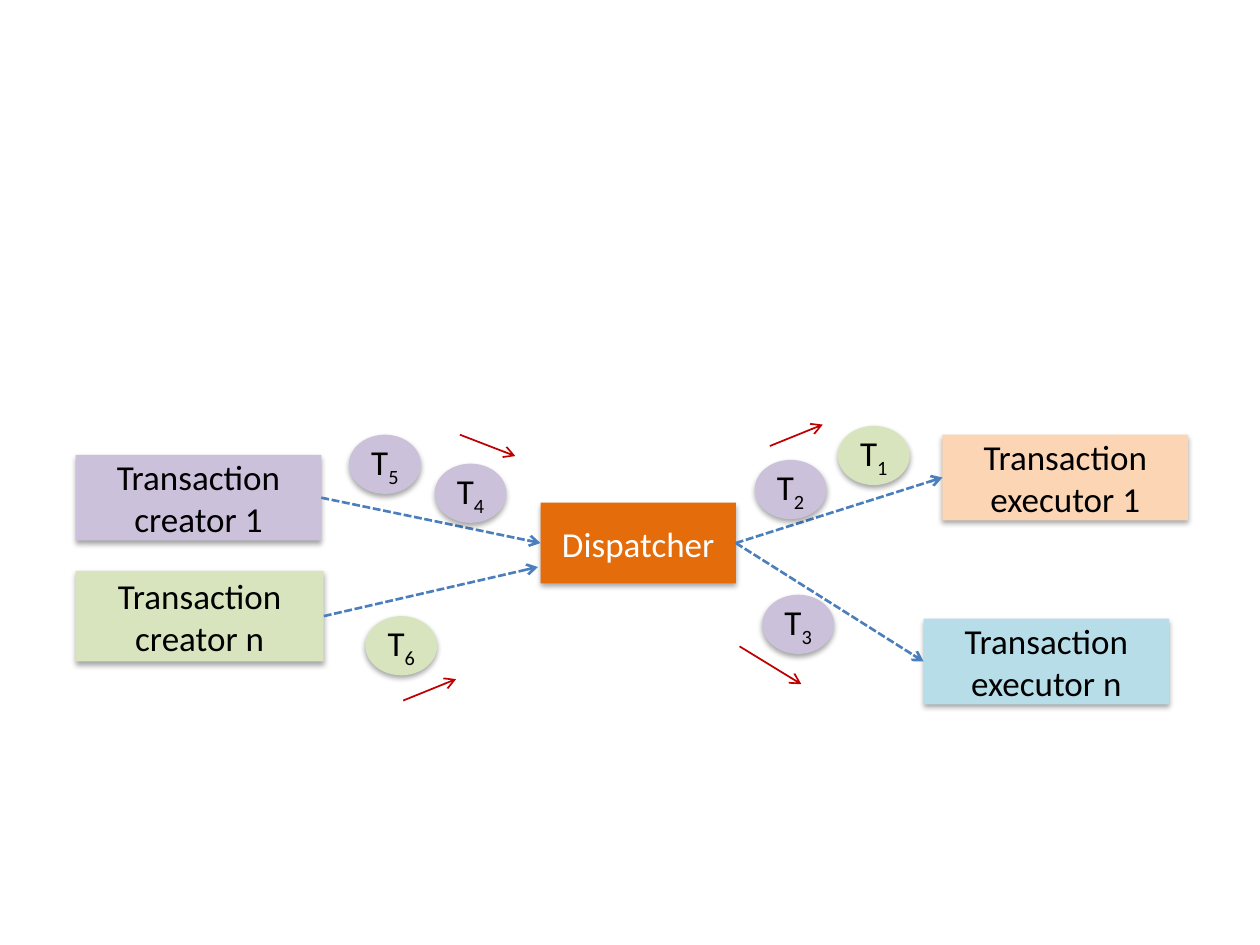
from lxml.etree import SubElement
from pptx import Presentation
from pptx.dml.color import RGBColor
from pptx.enum.dml import MSO_LINE_DASH_STYLE as Dash
from pptx.enum.shapes import MSO_CONNECTOR as Connector, MSO_SHAPE as Shape
from pptx.enum.text import MSO_ANCHOR as Anchor, MSO_AUTO_SIZE as AutoSize, PP_ALIGN as Align
from pptx.oxml.ns import qn
from pptx.util import Inches, Pt

BLACK = RGBColor(0x00, 0x00, 0x00)
WHITE = RGBColor(0xFF, 0xFF, 0xFF)
ORANGE = RGBColor(0xE4, 0x6C, 0x0A)
GREEN = RGBColor(0xD7, 0xE4, 0xBD)
PURPLE = RGBColor(0xCC, 0xC1, 0xDA)
PEACH = RGBColor(0xFC, 0xD5, 0xB5)
AQUA = RGBColor(0xB7, 0xDE, 0xE8)
BLUE = RGBColor(0x4B, 0x7E, 0xBC)
RED = RGBColor(0xC0, 0x00, 0x00)

LEFT, RIGHT = 1, 3
TOKEN_SIZE = (0.57, 0.47)
TOKENS = [
    ("4", 3.45, 3.68, PURPLE),
    ("5", 2.77, 3.45, PURPLE),
    ("6", 2.90, 4.89, GREEN),
    ("1", 6.65, 3.38, GREEN),
    ("3", 6.05, 4.72, PURPLE),
    ("2", 5.99, 3.65, PURPLE),
]
DIRECTIONS = [
    ((3.65, 3.45), (4.09, 3.62)),
    ((3.20, 5.56), (3.62, 5.39)),
    ((6.11, 3.54), (6.53, 3.37)),
    ((5.87, 5.13), (6.36, 5.43)),
]


def add_span(para, text, size=20, color=BLACK, subscript=False):
    span = para.add_run()
    span.text = text
    span.font.name = "Calibri"
    span.font.size = Pt(size)
    span.font.color.rgb = color
    if subscript:
        span.font._element.set("baseline", "-25000")


def add_shadow(shape):
    shape.shadow.inherit = False
    effects = shape._element.spPr.find(qn("a:effectLst"))
    shadow = SubElement(effects, qn("a:outerShdw"), blurRad="40000", dist="23000",
                        dir="5400000", rotWithShape="0")
    color = SubElement(shadow, qn("a:srgbClr"), val="000000")
    SubElement(color, qn("a:alpha"), val="35000")


def add_filled_shape(page, kind, bounds, fill):
    shape = page.shapes.add_shape(kind, *map(Inches, bounds))
    shape.fill.solid()
    shape.fill.fore_color.rgb = fill
    shape.line.fill.background()
    add_shadow(shape)
    frame = shape.text_frame
    frame.word_wrap = True
    frame.vertical_anchor = Anchor.MIDDLE
    frame.paragraphs[0].alignment = Align.CENTER
    return shape


def add_box(page, text, bounds, fill, color=BLACK):
    box = add_filled_shape(page, Shape.RECTANGLE, bounds, fill)
    add_span(box.text_frame.paragraphs[0], text, color=color)
    return box


def add_token(page, number, left, top, fill):
    token = add_filled_shape(page, Shape.FLOWCHART_CONNECTOR, (left, top, *TOKEN_SIZE), fill)
    frame = token.text_frame
    frame.margin_left = frame.margin_right = frame.margin_top = frame.margin_bottom = 0
    frame.auto_size = AutoSize.SHAPE_TO_FIT_TEXT
    add_span(frame.paragraphs[0], "T")
    add_span(frame.paragraphs[0], number, subscript=True)


def add_arrow(page, start, end, color, width, dash=None):
    arrow = page.shapes.add_connector(Connector.STRAIGHT, *map(Inches, (*start, *end)))
    arrow.line.color.rgb = color
    arrow.line.width = Pt(width)
    if dash is not None:
        arrow.line.dash_style = dash
    SubElement(arrow.line._get_or_add_ln(), qn("a:tailEnd"), type="arrow")
    SubElement(arrow._element.spPr, qn("a:effectLst"))
    return arrow


def add_flow(page, source, target, start, end):
    flow = add_arrow(page, start, end, BLUE, 1.5, Dash.SQUARE_DOT)
    flow.begin_connect(source, RIGHT)
    if target is not None:
        flow.end_connect(target, LEFT)


def main():
    deck = Presentation()
    deck.slide_width, deck.slide_height = Inches(10), Inches(7.5)
    page = deck.slides.add_slide(deck.slide_layouts[6])

    dispatcher = add_box(page, "Dispatcher", (4.29, 3.99, 1.55, 0.64), ORANGE, WHITE)
    creator_n = add_box(page, "Transaction creator n", (0.6, 4.53, 1.97, 0.72), GREEN)
    creator_1 = add_box(page, "Transaction creator 1", (0.6, 3.61, 1.95, 0.68), PURPLE)
    executor_1 = add_box(page, "Transaction executor 1", (7.48, 3.45, 1.95, 0.68), PEACH)
    executor_n = add_box(page, "Transaction executor n", (7.33, 4.91, 1.95, 0.68), AQUA)

    add_flow(page, dispatcher, executor_1, (5.84, 4.3), (7.48, 3.79))
    add_flow(page, creator_n, None, (2.57, 4.89), (4.27, 4.5))
    add_flow(page, creator_1, dispatcher, (2.56, 3.95), (4.29, 4.3))
    add_flow(page, dispatcher, executor_n, (5.84, 4.3), (7.33, 5.25))

    for token in TOKENS:
        add_token(page, *token)
    for start, end in DIRECTIONS:
        add_arrow(page, start, end, RED, 1)

    deck.save("out.pptx")


if __name__ == "__main__":
    main()
